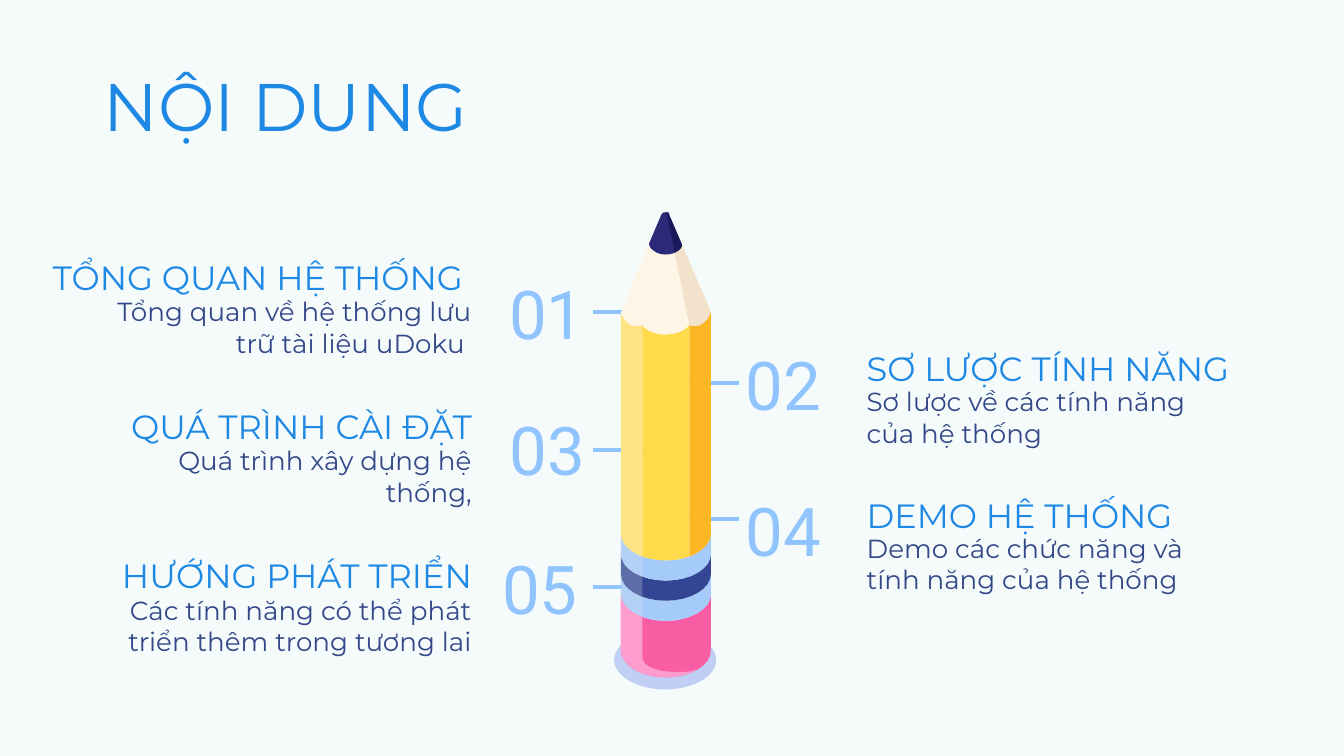
import math
from lxml import etree
from pptx import Presentation
from pptx.dml.color import RGBColor
from pptx.enum import shapes, text
from pptx.oxml.ns import qn
from pptx.util import Pt

PX = 9144
THEME = {
    "back": "F5FBFB", "head": "1E88E5", "body": "324788", "mark": "90C4FE",
    "shade": "C1CFF4", "wood": "FFF5E6", "grain": "F2E2CC",
    "lead": "2D2979", "dark": "1A1A5B",
    "gold": "FFDB4C", "pale": "FFE484", "amber": "FDB724",
    "sky": "A5CBFA", "navy": "344593", "gloss": "DAE6EA",
    "pink": "F95DA4", "rose": "FD9CCF",
    "font": "Montserrat", "digit": "Roboto",
    "big": 36, "mid": 18, "small": 14,
}
LEFT, RIGHT = 462, 529
EDGE, FOLD = 478, 513
TOP, MID, BASE = text.MSO_ANCHOR.TOP, text.MSO_ANCHOR.MIDDLE, text.MSO_ANCHOR.BOTTOM
START, CENTER, END = text.PP_ALIGN.LEFT, text.PP_ALIGN.CENTER, text.PP_ALIGN.RIGHT

deck = Presentation()
deck.slide_width = 1000 * PX
deck.slide_height = deck.slide_width * 9 // 16
slide = deck.slides.add_slide(deck.slide_layouts[5])
slide.background.fill.solid()
slide.background.fill.fore_color.rgb = RGBColor.from_string(THEME["back"])


def rim(y, x0=LEFT, x1=RIGHT):
    half = (RIGHT - LEFT) / 2
    a, b = (math.acos((LEFT + half - x) / half) for x in (x0, x1))
    turns = [a + (b - a) * i / 16 for i in range(17)]
    return [(LEFT + half - half * math.cos(t), y + 20 * math.sin(t)) for t in turns]


def draw(color, steps):
    dots = []
    for step in steps:
        if len(step) == 2:
            dots.append(step)
            continue
        ends = [dots[-1], step[:2], step[2:4], step[4:]]
        for i in range(1, 9):
            t = i / 8
            w = [(1 - t) ** 3, 3 * t * (1 - t) ** 2, 3 * t * t * (1 - t), t ** 3]
            dots.append(tuple(sum(k * e[n] for k, e in zip(w, ends)) for n in (0, 1)))
    dots = [(x * PX, y * PX) for x, y in dots]
    pen = slide.shapes.build_freeform(*dots[0])
    pen.add_line_segments(dots[1:])
    part = pen.convert_to_shape()
    part.shadow.inherit = False
    part.fill.solid()
    part.fill.fore_color.rgb = RGBColor.from_string(THEME[color])
    part.line.fill.background()
    return part


title = (67, 38, 521, 63, "NỘI DUNG", "big", "head", START, TOP)
labels = [
    (23, 168, 338, 63, "TỔNG QUAN HỆ THỐNG ", "mid", "head", END, BASE),
    (71, 210, 290, 82, "Tổng quan về hệ thống lưu trữ tài liệu uDoku ", "small", "body", END, TOP),
    (362, 193, 90, 63, "01", "big", "mark", CENTER, TOP),
    (635, 236, 319, 63, "SƠ LƯỢC TÍNH NĂNG", "mid", "head", START, BASE),
    (635, 277, 290, 63, "Sơ lược về các tính năng của hệ thống", "small", "body", START, TOP),
    (531, 254, 104, 63, "02", "big", "mark", CENTER, MID),
    (42, 279, 319, 63, "QUÁ TRÌNH CÀI ĐẶT", "mid", "head", END, BASE),
    (76, 321, 285, 82, "Quá trình xây dựng hệ thống,", "small", "body", END, TOP),
    (350, 294, 115, 63, "03", "big", "mark", CENTER, TOP),
    (635, 345, 268, 63, "DEMO HỆ THỐNG", "mid", "head", START, BASE),
    (635, 386, 268, 63, "Demo các chức năng và tính năng của hệ thống", "small", "body", START, TOP),
    (531, 363, 104, 63, "04", "big", "mark", CENTER, MID),
    (42, 390, 319, 63, "HƯỚNG PHÁT TRIỂN", "mid", "head", END, BASE),
    (71, 432, 290, 63, "Các tính năng có thể phát triển thêm trong tương lai", "small", "body", END, TOP),
    (356, 406, 104, 63, "05 ", "big", "mark", CENTER, MID),
]
for x, y, w, h, words, size, color, align, anchor in [title] + labels:
    if words == title[4]:
        box = slide.shapes.title
        box.left, box.top, box.width, box.height = (n * PX for n in (x, y, w, h))
    else:
        box = slide.shapes.add_textbox(x * PX, y * PX, w * PX, h * PX)
    frame = box.text_frame
    frame.word_wrap = True
    frame.auto_size = text.MSO_AUTO_SIZE.NONE
    frame.vertical_anchor = anchor
    frame.margin_left = frame.margin_right = 10 * PX
    frame.margin_top = frame.margin_bottom = 10 * PX
    line = frame.paragraphs[0]
    line.text = words
    line.alignment = align
    line.font.name = THEME["digit" if color == "mark" else "font"]
    line.font.size = Pt(THEME[size])
    line.font.color.rgb = RGBColor.from_string(THEME[color])

for x, y in [(441, 232), (441, 335), (441, 437), (490, 285), (490, 386)]:
    tick = slide.shapes.add_connector(
        shapes.MSO_CONNECTOR.STRAIGHT, x * PX, y * PX, (x + 60) * PX, y * PX)
    tick.line.color.rgb = RGBColor.from_string(THEME["mark"])
    tick.line.width = Pt(2.25)
    etree.SubElement(tick._element.spPr, qn("a:effectLst"))

base = slide.shapes.add_shape(
    shapes.MSO_SHAPE.OVAL, 457 * PX, 469 * PX, 76 * PX, 44 * PX)
base.shadow.inherit = False
base.fill.solid()
base.fill.fore_color.rgb = RGBColor.from_string(THEME["shade"])
base.line.fill.background()

draw("wood", [(483, 181), (507, 181), (RIGHT, 232), (RIGHT, 261), (LEFT, 261), (LEFT, 233)])
draw("grain", [(495, 158), (502, 188), (FOLD, 242), (FOLD, 247),
               (RIGHT, 247), (RIGHT, 232), (507, 181), (498, 160)])

for color, y, low in [("pink", 442, 484), ("sky", 427, 442),
                      ("navy", 412, 427), ("sky", 397, 412)]:
    draw(color, rim(y) + rim(low)[::-1])

draw("pale", [(LEFT, 233), (LEFT, 233, 464, 239, 469, 242), (472, 243, 476, 243, EDGE, 242)]
     + rim(397, LEFT, EDGE)[::-1])
draw("amber", [(RIGHT, 232), (RIGHT, 233, 527, 239, 521, 242), (518, 243, 515, 243, FOLD, 242)]
     + rim(397, FOLD, RIGHT))
draw("gold", [(EDGE, 242), (482, 249, 495, 249, 495, 249), (495, 249, 508, 249, FOLD, 242)]
     + rim(397, EDGE, FOLD)[::-1])

cap = [(502, 188), (503, 188, 503, 187, 504, 187), (507, 185, 508, 183, 507, 181),
       (498, 160), (498, 158, 497, 158, 495, 158)]
draw("lead", [(495, 158), (494, 158, 493, 158, 492, 160), (483, 181),
              (483, 183, 484, 185, 487, 187), (491, 190, 498, 190, 502, 188)] + cap[1:])
draw("dark", [(495, 158), (496, 158, 499, 171, 502, 188)] + cap[1:])

gloss = draw("gloss", rim(397, LEFT, EDGE) + rim(442, LEFT, EDGE)[::-1])
tint = gloss._element.spPr.find(qn("a:solidFill"))[0]
etree.SubElement(tint, qn("a:alpha"), val="25000")
draw("rose", rim(442, LEFT, EDGE) + [(EDGE, 489), (EDGE, 497, 492, 500, 503, 500),
                                     (510, 500, 515, 500, 518, 498)]
     + rim(484, LEFT, 518)[::-1])

deck.save("out.pptx")
